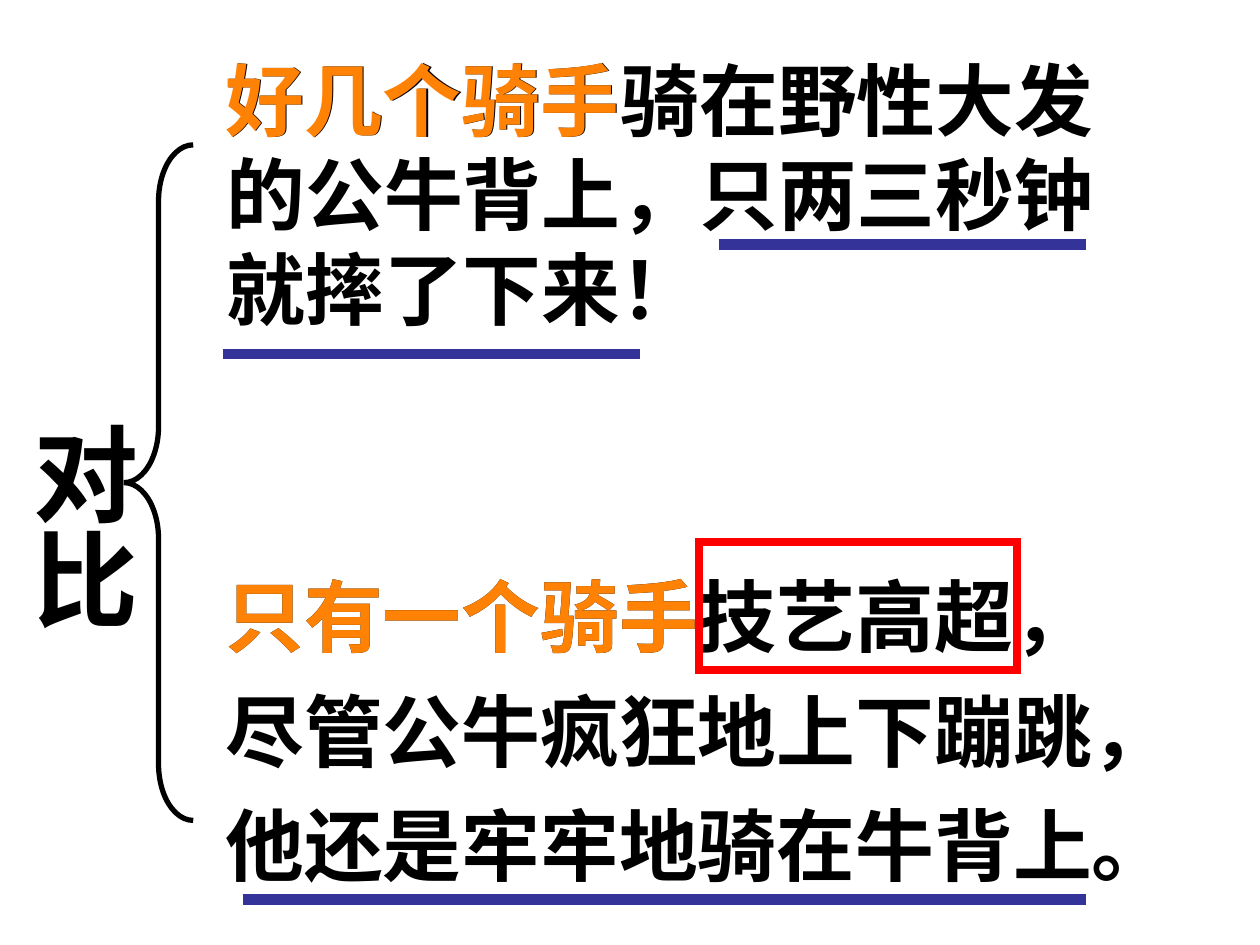
from lxml import etree
from pptx import Presentation
from pptx.dml.color import RGBColor
from pptx.enum.shapes import MSO_CONNECTOR, MSO_SHAPE
from pptx.enum.text import MSO_ANCHOR
from pptx.oxml.ns import qn
from pptx.util import Pt

COLORS = {"text": "000000", "rider": "FF8205", "underline": "333399", "frame": "FF0000"}
SANS, SERIF = "Noto Sans CJK SC", "Times New Roman"


def add_text(page, lines, left, top, width, height, font, size=45, color="text"):
    box = page.shapes.add_textbox(Pt(left), Pt(top), Pt(width), Pt(height))
    box.text_frame.word_wrap = True
    box.text_frame.text = "\n".join(lines)
    for para in box.text_frame.paragraphs:
        for span in para.runs:
            span.font.name = font
            span.font.size = Pt(size)
            span.font.bold = True
            span.font.color.rgb = RGBColor.from_string(COLORS[color])
    return box


def style_outline(shape, color, width):
    shape.line.color.rgb = RGBColor.from_string(COLORS[color])
    shape.line.width = Pt(width)
    outline = shape._element.spPr.find(qn("a:ln"))
    etree.SubElement(outline, qn("a:miter"), lim="800000")


deck = Presentation()
deck.slide_width, deck.slide_height = Pt(720), Pt(540)
page = deck.slides.add_slide(deck.slide_layouts[6])

# Brace joining the two passages
brace = page.shapes.add_shape(MSO_SHAPE.LEFT_BRACE, Pt(70.8), Pt(82.8), Pt(39.6), Pt(386))
brace.adjustments[0] = 0.81
brace.adjustments[1] = 0.5
brace.fill.background()
brace.shadow.inherit = False
style_outline(brace, "text", 3)

# Lower passage, with hanging indent
skilled = add_text(page, ["只有一个骑手技艺高超，", "尽管公牛疯狂地上下蹦跳，", "他还是牢牢地骑在牛背上。"],
                   121.7, 321.1, 561.6, 218.9, SANS)
for number, para in enumerate(skilled.text_frame.paragraphs):
    properties = para._p.get_or_add_pPr()
    properties.set("marL", str(Pt(27)))
    properties.set("indent", str(Pt(-27)))
    if number:
        para.space_before = Pt(11.2)

# Upper passage
fallen = add_text(page, ["好几个骑手骑在野性大发", "的公牛背上，只两三秒钟", "就摔了下来！"],
                  122.4, 25.9, 516, 169.2, SANS)
fallen.text_frame.vertical_anchor = MSO_ANCHOR.MIDDLE

# Riders highlighted over the passages
add_text(page, ["好几个骑手"], 121.7, 25.9, 295.2, 61.2, SERIF, color="rider")
add_text(page, ["只有一个骑手"], 121.7, 321.1, 351.4, 61.2, SERIF, color="rider")

# Underlines
for start, end, y in [(411, 620.6, 139.7), (127.4, 365.8, 202.3), (139, 620.6, 514)]:
    underline = page.shapes.add_connector(MSO_CONNECTOR.STRAIGHT, Pt(start), Pt(y), Pt(end), Pt(y))
    style_outline(underline, "underline", 6)
    etree.SubElement(underline._element.spPr, qn("a:effectLst"))

# Frame around the skill
skill = page.shapes.add_shape(MSO_SHAPE.RECTANGLE, Pt(399.6), Pt(309.6), Pt(181.4), Pt(73.4))
skill.fill.background()
skill.shadow.inherit = False
style_outline(skill, "frame", 4.5)

# Vertical heading
heading = add_text(page, ["对比"], 0, 207.4, 86.4, 187.2, SERIF, size=60)
frame = heading.text_frame
frame.margin_left = frame.margin_right = Pt(3.6)
frame.margin_top, frame.margin_bottom = Pt(34), Pt(7.2)
frame._txBody.bodyPr.set("vert", "eaVert")

deck.save("out.pptx")
